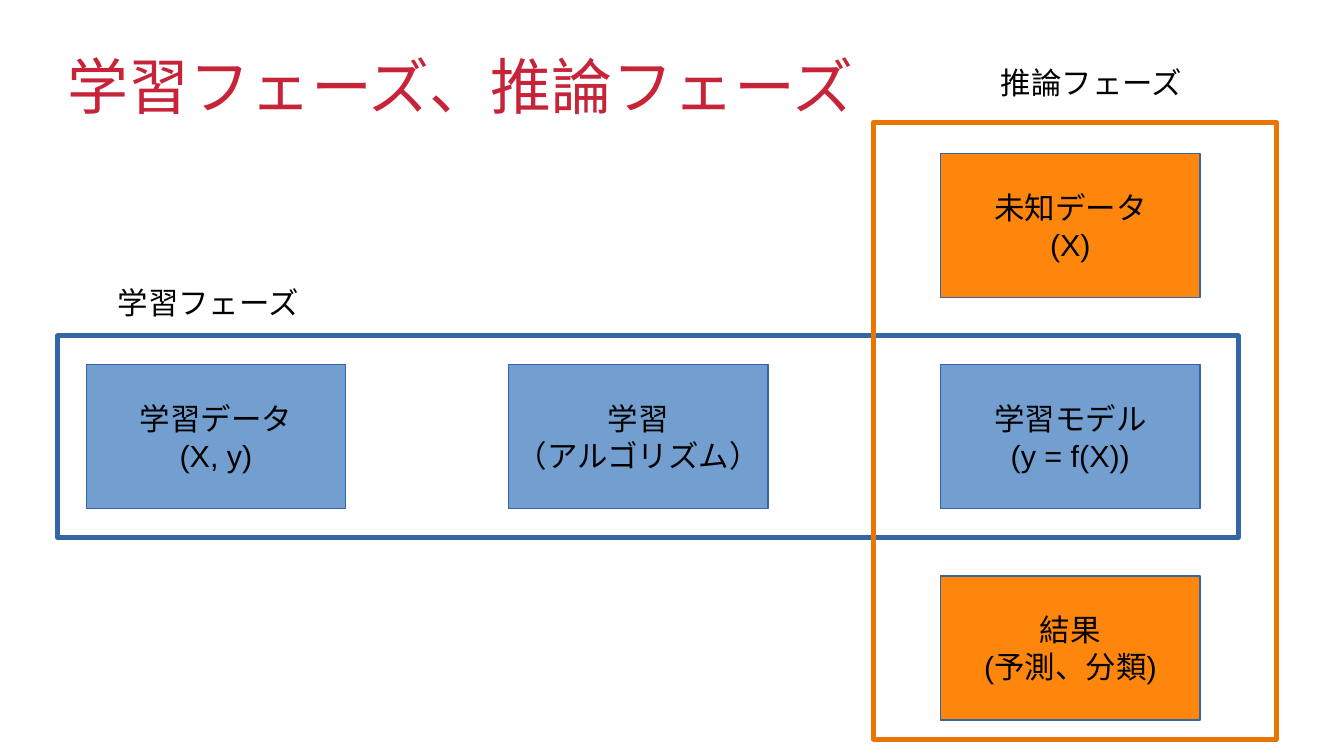
from lxml.etree import SubElement
from pptx import Presentation
from pptx.dml.color import RGBColor
from pptx.enum.shapes import MSO_SHAPE
from pptx.enum.text import MSO_ANCHOR, MSO_AUTO_SIZE, PP_ALIGN
from pptx.oxml.ns import qn
from pptx.util import Cm, Pt

RED = RGBColor(0xC7, 0x24, 0x3A)
BLACK = RGBColor(0, 0, 0)
BLUE = RGBColor(0x72, 0x9F, 0xCF)
DARK_BLUE = RGBColor(0x34, 0x65, 0xA4)
ORANGE = RGBColor(0xFF, 0x86, 0x0D)
DARK_ORANGE = RGBColor(0xEA, 0x75, 0x00)

JAPANESE_FONT = "Noto Sans CJK JP"
TITLE_FONT = {"name": JAPANESE_FONT, "size": Pt(36)}
BODY_FONT = {"name": "Arial", "size": Pt(18)}
NO_MARGINS = dict.fromkeys(
    ("margin_left", "margin_top", "margin_right", "margin_bottom"), 0)
TITLE_FRAME = {"vertical_anchor": MSO_ANCHOR.MIDDLE, "word_wrap": True,
               "auto_size": MSO_AUTO_SIZE.NONE, **NO_MARGINS}
STEP_FRAME = {"vertical_anchor": MSO_ANCHOR.MIDDLE, "word_wrap": False}
LABEL_FRAME = {"vertical_anchor": MSO_ANCHOR.TOP, "word_wrap": True}

STEP_WIDTH, STEP_HEIGHT = 5.4, 3.0


def apply(target, values):
    for name, value in values.items():
        setattr(target, name, value)


def write(frame, lines, frame_format, font, color, align):
    apply(frame, frame_format)
    for index, line in enumerate(lines):
        para = frame.add_paragraph() if index else frame.paragraphs[0]
        para.alignment = align
        span = para.add_run()
        span.text = line
        apply(span.font, font)
        span.font.color.rgb = color
        east_asian = SubElement(span.font._element, qn("a:ea"))
        east_asian.set("typeface", JAPANESE_FONT)


def add_title(page, text, left, top, width, height):
    title = page.shapes.title
    apply(title, {"left": Cm(left), "top": Cm(top),
                  "width": Cm(width), "height": Cm(height)})
    write(title.text_frame, [text], TITLE_FRAME, TITLE_FONT, RED, PP_ALIGN.LEFT)


def add_rectangle(page, left, top, width, height, fill, line, weight):
    box = page.shapes.add_shape(
        MSO_SHAPE.RECTANGLE, Cm(left), Cm(top), Cm(width), Cm(height))
    box.shadow.inherit = False
    if fill is None:
        box.fill.background()
    else:
        box.fill.solid()
        box.fill.fore_color.rgb = fill
    box.line.color.rgb = line
    box.line.width = Pt(weight)
    return box


def add_phase(page, label, label_offset, label_width, steps, fill, line,
              left, top, width, height):
    for x, y, lines in steps:
        step = add_rectangle(page, left + x, top + y, STEP_WIDTH, STEP_HEIGHT,
                             fill, DARK_BLUE, 0.75)
        write(step.text_frame, lines, STEP_FRAME, BODY_FONT, BLACK,
              PP_ALIGN.CENTER)
    add_rectangle(page, left, top, width, height, None, line, 3)
    x, y = label_offset
    caption = page.shapes.add_textbox(
        Cm(left + x), Cm(top + y), Cm(label_width), Cm(1.02))
    write(caption.text_frame, [label], LABEL_FRAME, BODY_FONT, BLACK,
          PP_ALIGN.LEFT)


def main():
    deck = Presentation()
    deck.slide_width, deck.slide_height = Cm(28), Cm(15.75)
    page = deck.slides.add_slide(deck.slide_layouts.get_by_name("Title Only"))
    add_title(page, "学習フェーズ、推論フェーズ", 1.4, 1.02, 25.2, 1.52)
    add_phase(page, "学習フェーズ", (1.0, -1.2), 5.0,
              [(0.6, 0.6, ["学習データ", "(X, y)"]),
               (9.4, 0.6, ["学習", "（アルゴリズム）"]),
               (18.4, 0.6, ["学習モデル", "(y = f(X))"])],
              BLUE, DARK_BLUE, 1.2, 7.0, 24.6, 4.2)
    add_phase(page, "推論フェーズ", (2.4, -1.35), 4.8,
              [(1.4, 0.65, ["未知データ", "(X)"]),
               (1.4, 9.45, ["結果", "(予測、分類)"])],
              ORANGE, DARK_ORANGE, 18.2, 2.55, 8.4, 12.85)
    deck.save("out.pptx")


if __name__ == "__main__":
    main()
